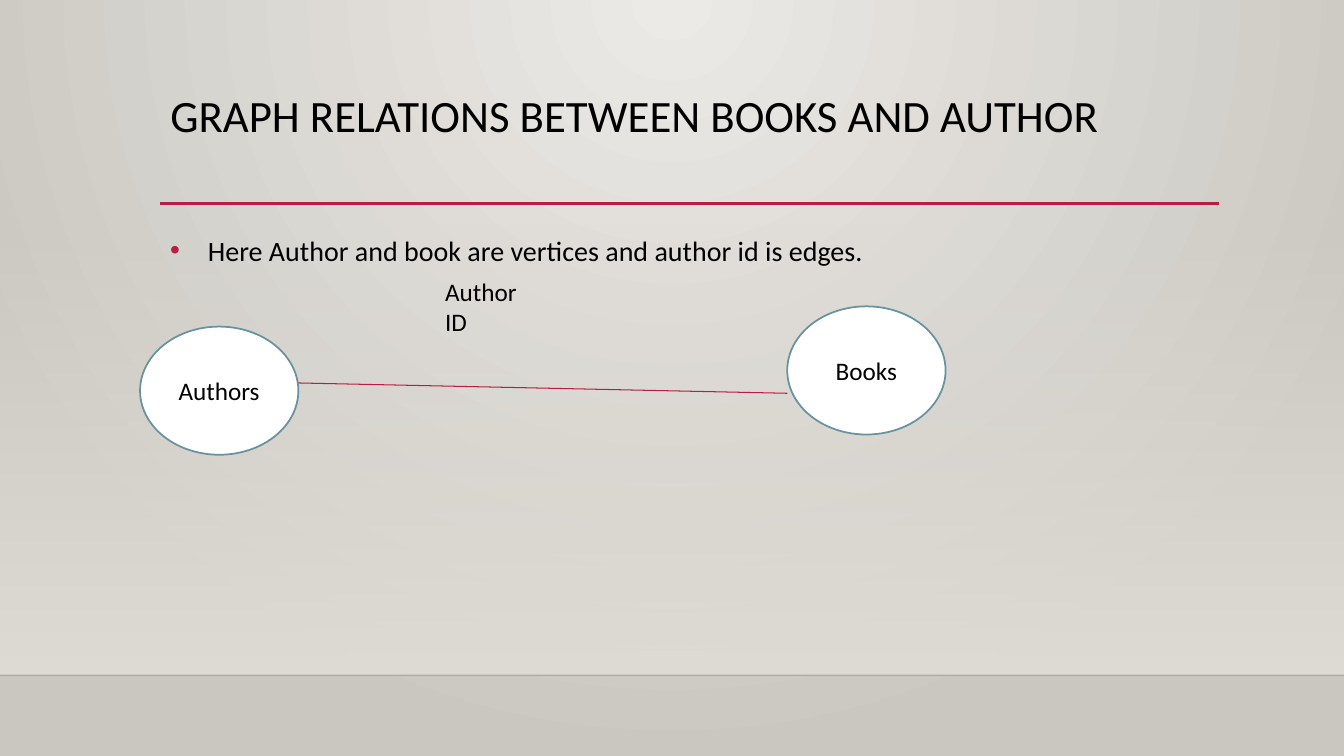
from lxml import etree
from pptx import Presentation
from pptx.dml.color import RGBColor
from pptx.enum.shapes import MSO_CONNECTOR, MSO_SHAPE
from pptx.enum.text import MSO_ANCHOR, MSO_AUTO_SIZE, PP_ALIGN
from pptx.oxml.ns import qn
from pptx.util import Cm, Pt

STRAIGHT = MSO_CONNECTOR.STRAIGHT
RECTANGLE, OVAL = MSO_SHAPE.RECTANGLE, MSO_SHAPE.OVAL
TOP, MIDDLE = MSO_ANCHOR.TOP, MSO_ANCHOR.MIDDLE
LEFT, CENTER = PP_ALIGN.LEFT, PP_ALIGN.CENTER
NO_FIT = MSO_AUTO_SIZE.NONE

COLORS = {
    "text": "000000", "accent": "B71E42", "node": "FFFFFF", "outline": "6892A0",
    "center": "ECEAE7", "edge": "CAC7C1", "wall": "DFDBD5", "floor": "000001",
}
FONT = "Calibri"
WIDTH, HEIGHT = 33.87, 19.05
FLOOR_TOP, RULE_TOP = 17.02, 5.13
MARGIN, CONTENT_WIDTH = 4.04, 26.67
NODE_WIDTH, NODE_HEIGHT = 3.99, 3.23

TITLE = "GRAPH RELATIONS BETWEEN BOOKS AND AUTHOR"
STATEMENT = "Here Author and book are vertices and author id is edges."
EDGE_LABEL = "Author ID"
NODES = {"Books": (19.84, 7.72), "Authors": (3.53, 8.23)}
EDGE_HEIGHTS = (9.65, 9.91)


def rgb(name):
    return RGBColor.from_string(COLORS[name])


def add_alpha(color_element, percent):
    etree.SubElement(color_element, qn("a:alpha"), val=str(percent * 1000))


def set_gradient(fill, owner, stops):
    fill.gradient()
    gradient = owner.find(".//" + qn("a:gradFill"))
    for child in list(gradient):
        gradient.remove(child)
    stop_list = etree.SubElement(gradient, qn("a:gsLst"))
    for position, name, opacity in stops:
        stop = etree.SubElement(stop_list, qn("a:gs"), pos=str(position * 1000))
        color = etree.SubElement(stop, qn("a:srgbClr"), val=COLORS[name])
        if opacity < 100:
            add_alpha(color, opacity)
    return gradient


def write(shape, text, size, anchor=TOP, align=LEFT, **spacing):
    frame = shape.text_frame
    frame_format = {"word_wrap": True, "auto_size": NO_FIT, "vertical_anchor": anchor}
    for name, value in frame_format.items():
        setattr(frame, name, value)
    paragraph = frame.paragraphs[0]
    for name, value in {"alignment": align, **spacing}.items():
        setattr(paragraph, name, value)
    run = paragraph.add_run()
    run.text = text
    for name, value in {"name": FONT, "size": Pt(size)}.items():
        setattr(run.font, name, value)
    run.font.color.rgb = rgb("text")
    return paragraph


def add_line(slide, start, end, color, width):
    line = slide.shapes.add_connector(STRAIGHT, *map(Cm, start + end))
    line.line.color.rgb = rgb(color)
    line.line.width = Pt(width)
    etree.SubElement(line.element.spPr, qn("a:effectLst"))
    return line


def add_text(slide, box, text, size, **spacing):
    shape = slide.shapes.add_textbox(*map(Cm, box))
    return write(shape, text, size, **spacing)


presentation = Presentation()
presentation.slide_width, presentation.slide_height = Cm(WIDTH), Cm(HEIGHT)
slide = presentation.slides.add_slide(presentation.slide_layouts[5])

radial = set_gradient(slide.background.fill, slide.element,
                      [(0, "center", 100), (100, "edge", 100)])
circle = etree.SubElement(radial, qn("a:path"), path="circle")
etree.SubElement(circle, qn("a:fillToRect"), l="43000", t="0", r="43000", b="100000")

wall = slide.shapes.add_shape(RECTANGLE, 0, Cm(5.61), Cm(WIDTH), Cm(FLOOR_TOP - 5.61))
wall.shadow.inherit = False
wall.line.fill.background()
fade = set_gradient(wall.fill, wall.element, [(0, "wall", 0), (100, "wall", 100)])
etree.SubElement(fade, qn("a:lin"), ang="5400000", scaled="0")

floor = add_line(slide, (0, FLOOR_TOP), (WIDTH, FLOOR_TOP), "floor", 1)
add_alpha(floor.element.find(".//" + qn("a:srgbClr")), 20)
add_line(slide, (MARGIN, RULE_TOP), (30.73, RULE_TOP), "accent", 2.5)

title = slide.shapes.title
title_box = {"left": MARGIN, "top": 2.24, "width": CONTENT_WIDTH, "height": 2.92}
for name, value in title_box.items():
    setattr(title, name, Cm(value))
write(title, TITLE, 32, line_spacing=0.9)

statement = add_text(slide, (MARGIN, 5.59, CONTENT_WIDTH, 9.58), STATEMENT, 20,
                     line_spacing=1.2, space_before=Pt(10))
properties = statement._p.get_or_add_pPr()
properties.set("marL", str(Cm(0.95)))
properties.set("indent", str(-Cm(0.95)))
bullet_color = etree.SubElement(properties, qn("a:buClr"))
etree.SubElement(bullet_color, qn("a:srgbClr"), val=COLORS["accent"])
etree.SubElement(properties, qn("a:buFont"), typeface="Arial")
etree.SubElement(properties, qn("a:buChar"), char="•")

for label, (left, top) in NODES.items():
    node = slide.shapes.add_shape(OVAL, *map(Cm, (left, top, NODE_WIDTH, NODE_HEIGHT)))
    node.shadow.inherit = False
    node.fill.solid()
    node.fill.fore_color.rgb = rgb("node")
    node.line.color.rgb = rgb("outline")
    node.line.width = Pt(1.25)
    write(node, label, 18, MIDDLE, CENTER)

edge_start = (NODES["Authors"][0] + NODE_WIDTH, EDGE_HEIGHTS[0])
edge_end = (NODES["Books"][0], EDGE_HEIGHTS[1])
add_line(slide, edge_start, edge_end, "accent", 0.75)
add_text(slide, (10.97, 6.83, 2.54, 1.8), EDGE_LABEL, 18)

presentation.save("out.pptx")
